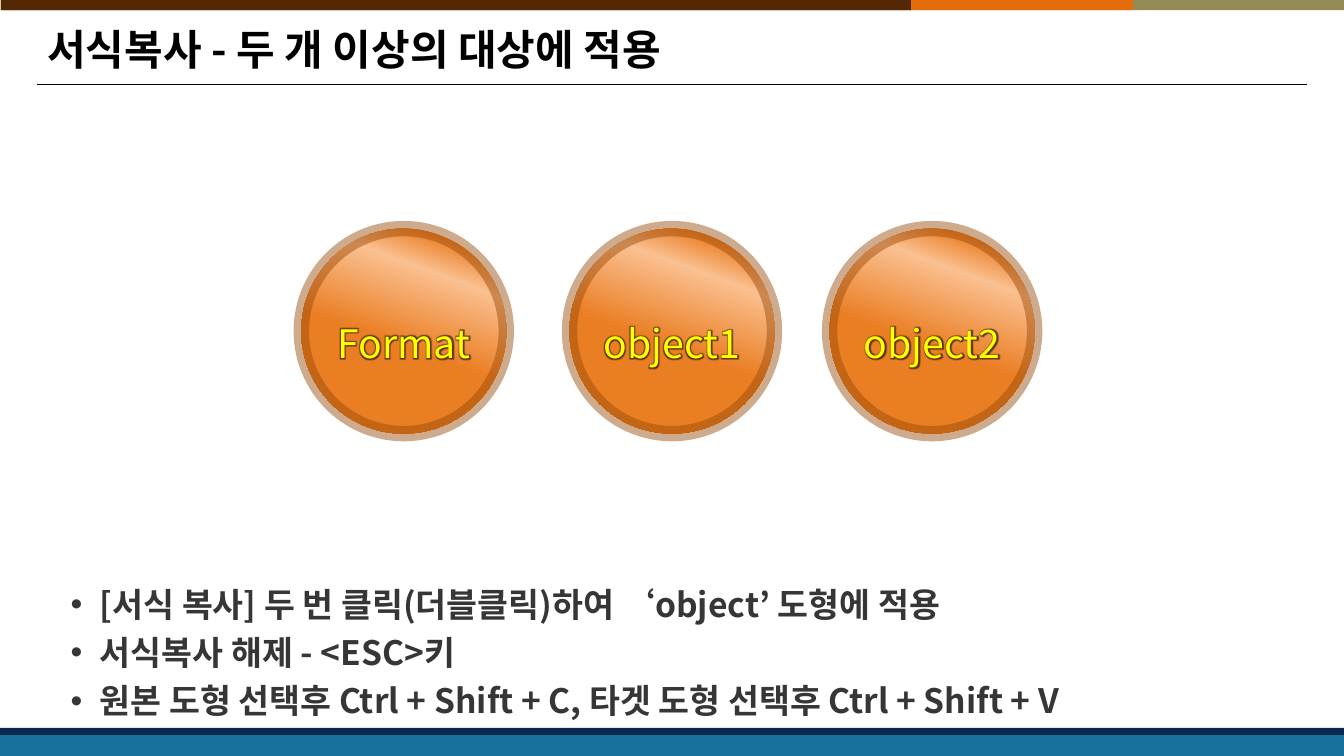
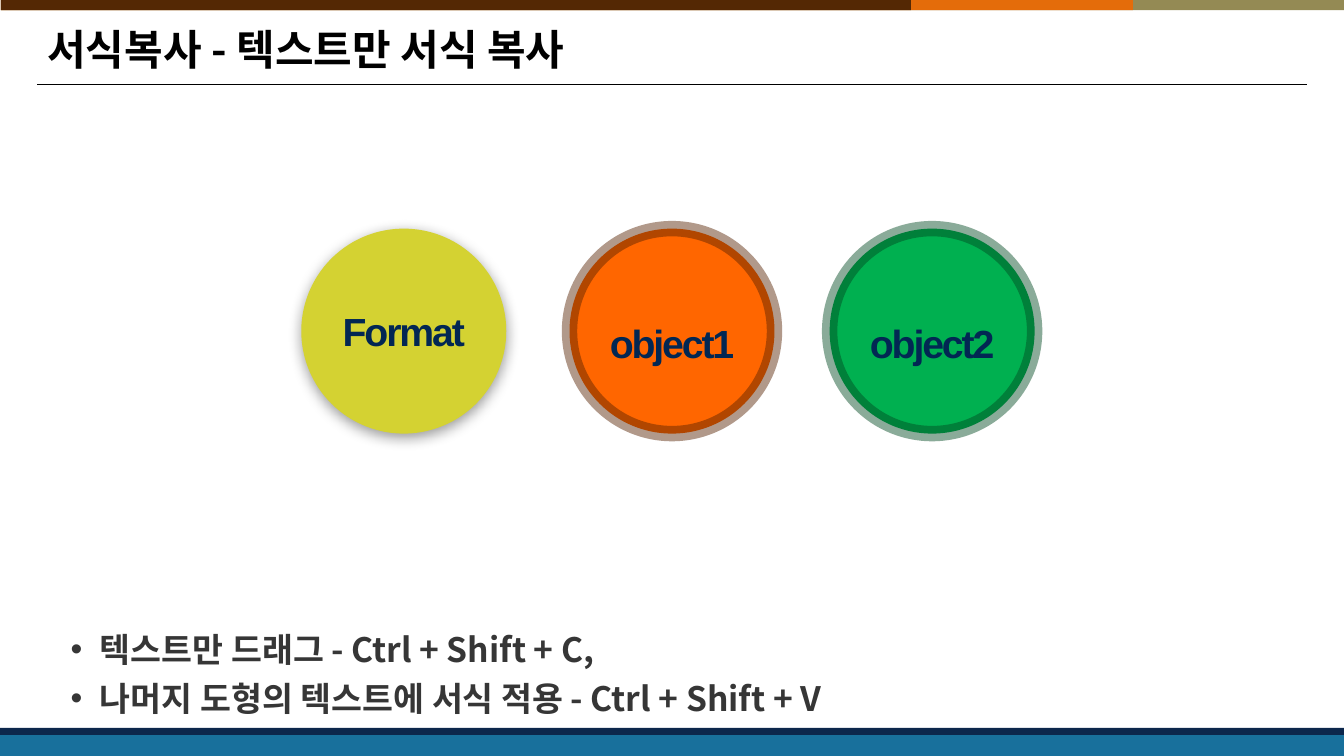
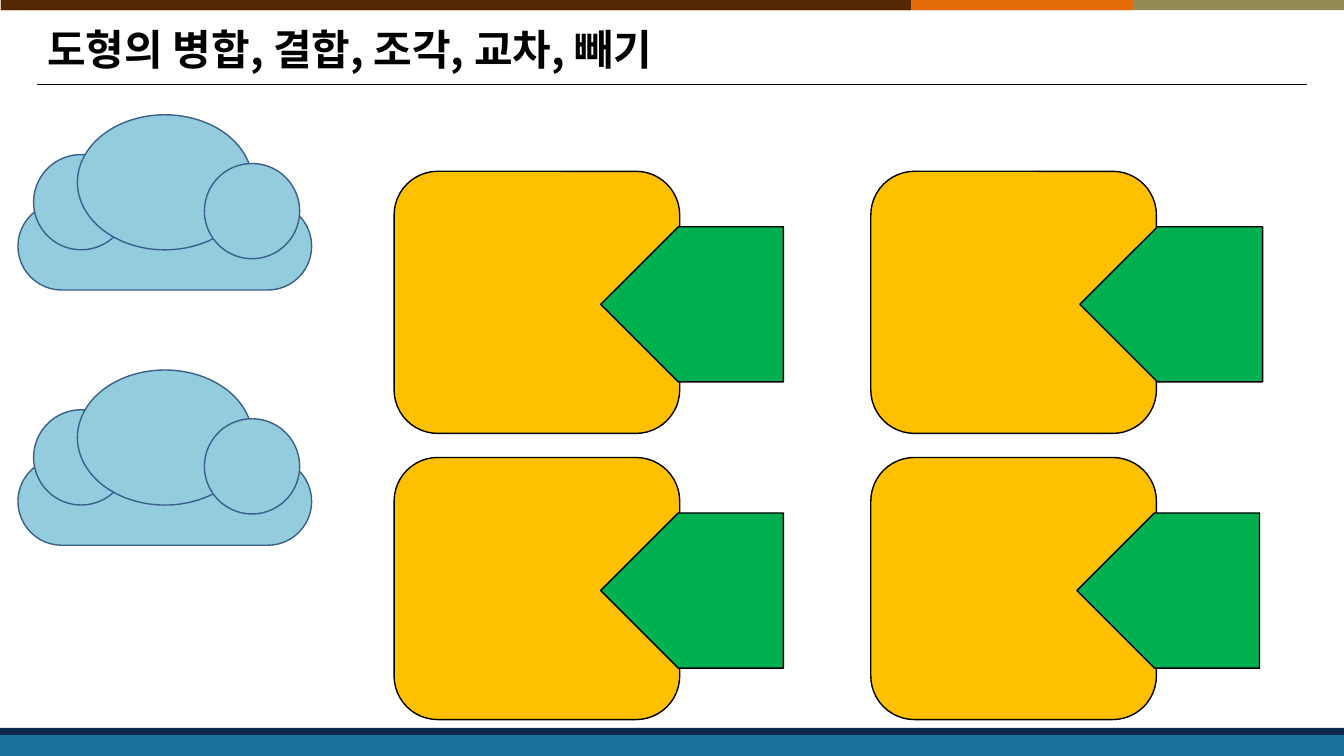
from lxml import etree
from pptx import Presentation
from pptx.dml.color import RGBColor
from pptx.enum.shapes import MSO_CONNECTOR as Connector, MSO_SHAPE as Shape
from pptx.enum.text import MSO_ANCHOR as Anchor, MSO_AUTO_SIZE as AutoSize, PP_ALIGN as Align
from pptx.oxml import parse_xml
from pptx.oxml.ns import nsdecls, qn
from pptx.util import Pt

KOREAN = "Noto Sans CJK KR"
LATIN = "Arial"
BLACK, BODY = "000000", "363636"
NAVY, YELLOW = "022753", "FFFF00"
AMBER, GREEN = "FFC000", "00B050"
SKY, SKY_LINE = "93CDDD", "3A5F8C"
GLOSS = [(11, "EA7E23"), (25, "FAC090"), (56, "EA7E23")]
BANDS = [
    (0.7, 0, 959.3, 7.2, "948A54"),
    (0.7, 0, 808.6, 7.2, "E46C0A"),
    (0.7, 0, 650, 7.2, "542804"),
    (0, 524.2, 960, 18, "18709C"),
    (0, 520, 960, 5, "0C274C"),
]
CIRCLE_LEFTS = (215.2, 406.8, 592.6)
CIRCLE_LABELS = ("Format", "object1", "object2")
CLOUD_PARTS = [
    (Shape.ROUNDED_RECTANGLE, 0, 62.6, 209.8, 62.6),
    (Shape.OVAL, 11.2, 28.4, 68, 68),
    (Shape.OVAL, 42.5, 0, 125, 96.5),
    (Shape.OVAL, 133.2, 34.8, 68, 68),
]


def color(code):
    """Turn a hex string into a colour."""
    return RGBColor.from_string(code)


def place(shape, left, top, width, height):
    """Move and size a shape, in points."""
    shape.left, shape.top = Pt(left), Pt(top)
    shape.width, shape.height = Pt(width), Pt(height)


def style_run(span, font, size, code, bold=False, spacing=None):
    """Format one run for both Latin and Korean letters."""
    span.font.name, span.font.size, span.font.bold = font, Pt(size), bold
    span.font.color.rgb = color(code)
    properties = span.font._element
    properties.find(qn("a:latin")).addnext(
        parse_xml(f'<a:ea {nsdecls("a")} typeface="{font}"/>'))
    if spacing is not None:
        properties.set("spc", str(round(spacing * 100)))


def add_figure(page, kind, left, top, width, height, fill, line=None, weight=1):
    """Add a flat preset shape with an optional outline."""
    figure = page.shapes.add_shape(kind, Pt(left), Pt(top), Pt(width), Pt(height))
    figure.shadow.inherit = False
    figure.fill.solid()
    figure.fill.fore_color.rgb = color(fill)
    if line:
        figure.line.color.rgb = color(line)
        figure.line.width = Pt(weight)
    else:
        figure.line.fill.background()
    return figure


def fill_gloss(figure):
    """Give a shape the slanted glossy gradient."""
    figure.fill.gradient()
    figure.fill.gradient_angle = 250
    stops = figure.element.spPr.find(".//" + qn("a:gsLst"))
    for stop in list(stops):
        stops.remove(stop)
    for position, code in GLOSS:
        stops.append(parse_xml(
            f'<a:gs {nsdecls("a")} pos="{position * 1000}"><a:srgbClr val="{code}"/></a:gs>'))


def add_drop_shadow(figure):
    """Add a soft shadow below a shape."""
    figure.element.spPr.find(qn("a:effectLst")).append(parse_xml(
        f'<a:outerShdw {nsdecls("a")} blurRad="127000" dist="38100" dir="5400000" '
        'algn="t" rotWithShape="0"><a:srgbClr val="000000"><a:alpha val="40000"/>'
        '</a:srgbClr></a:outerShdw>'))


def add_glow(span):
    """Put a dark halo around the letters of a run."""
    span.font._element.find(qn("a:solidFill")).addnext(parse_xml(
        f'<a:effectLst {nsdecls("a")}><a:glow rad="50800"><a:srgbClr val="000000">'
        '<a:alpha val="60000"/></a:srgbClr></a:glow></a:effectLst>'))


def add_circle(page, left, label, fill, ring=None):
    """Add a labelled circle, with a translucent ring if one is given."""
    circle = add_figure(page, Shape.OVAL, left, 163.3, 146.4, 146.4, fill, ring, 11)
    frame = circle.text_frame
    frame.text = label
    frame.vertical_anchor = Anchor.MIDDLE
    frame.word_wrap = ring is None
    para = frame.paragraphs[0]
    para.alignment = Align.CENTER
    if ring:
        para.line_spacing = 1.5
        tint = circle.element.spPr.find(f'{qn("a:ln")}//{qn("a:srgbClr")}')
        etree.SubElement(tint, qn("a:alpha")).set("val", "45000")
    return circle


def add_cloud(page, left, top):
    """Build a cloud from overlapping rounded parts."""
    for kind, across, down, width, height in CLOUD_PARTS:
        part = add_figure(page, kind, left + across, top + down, width, height, SKY, SKY_LINE)
        if kind == Shape.ROUNDED_RECTANGLE:
            part.adjustments[0] = 0.5


def add_block_and_arrow(page, left, top, offset):
    """Add a rounded block overlapped by a pentagon pointing left."""
    add_figure(page, Shape.ROUNDED_RECTANGLE, left, top, 204, 187.2, AMBER, BLACK)
    arrow = add_figure(page, Shape.PENTAGON, left + offset, top + 39.6, 130.5, 110.8, GREEN, BLACK)
    arrow.element.spPr.xfrm.set("flipH", "1")


def move_bands_to_master(deck, page):
    """Draw the bands and the title rule, and hand them to the master."""
    parts = [add_figure(page, Shape.RECTANGLE, *band) for band in BANDS]
    rule = page.shapes.add_connector(Connector.STRAIGHT, Pt(26.6), Pt(60.4), Pt(933.8), Pt(60.4))
    rule.line.color.rgb = color(BLACK)
    rule.line.width = Pt(0.5)
    etree.SubElement(rule.element.spPr, qn("a:effectLst"))
    for number, part in enumerate(parts + [rule], start=101):
        part.element.find(".//" + qn("p:cNvPr")).set("id", str(number))
        deck.slide_master.shapes.element.append(part.element)


def add_page(deck, layout, title):
    """Add a slide with its formatted title."""
    page = deck.slides.add_slide(deck.slide_layouts.get_by_name(layout))
    box = page.shapes.title
    place(box, 26.6, 15.8, 907.2, 42.5)
    frame = box.text_frame
    frame.text = title
    frame.vertical_anchor = Anchor.MIDDLE
    frame.auto_size = AutoSize.NONE
    para = frame.paragraphs[0]
    para.alignment = Align.LEFT
    para.line_spacing = 0.9
    style_run(para.runs[0], KOREAN, 30, BLACK, bold=True)
    return page


def fill_list(page, top, width, height, items):
    """Fill the body placeholder with a bulleted list."""
    box = page.placeholders[1]
    place(box, 43.2, top, width, height)
    frame = box.text_frame
    frame.text = "\n".join(items)
    frame.vertical_anchor = Anchor.TOP
    frame.auto_size = AutoSize.NONE
    for para in frame.paragraphs:
        properties = para._p.get_or_add_pPr()
        properties.set("marL", str(Pt(21)))
        properties.set("indent", str(-Pt(21)))
        etree.SubElement(properties, qn("a:buFont")).set("typeface", LATIN)
        etree.SubElement(properties, qn("a:buChar")).set("char", "•")
        para.line_spacing = 1.2
        para.space_before = Pt(0)
        style_run(para.runs[0], KOREAN, 24, BODY, bold=True)


def build_multiple_targets(deck):
    """Build the slide on copying a format to several objects."""
    page = add_page(deck, "Title and Content", "서식복사 - 두 개 이상의 대상에 적용")
    move_bands_to_master(deck, page)
    for left, label in zip(CIRCLE_LEFTS, CIRCLE_LABELS):
        circle = add_circle(page, left, label, "EA7E23", "984807")
        fill_gloss(circle)
        span = circle.text_frame.paragraphs[0].runs[0]
        style_run(span, KOREAN, 28, YELLOW)
        add_glow(span)
    fill_list(page, 407.5, 850, 112.3, [
        "[서식 복사] 두 번 클릭(더블클릭)하여 ‘object’ 도형에 적용",
        "서식복사 해제 - <ESC>키",
        "원본 도형 선택후 Ctrl + Shift + C, 타겟 도형 선택후 Ctrl + Shift + V",
    ])


def build_text_only(deck):
    """Build the slide on copying the format of text alone."""
    page = add_page(deck, "Title and Content", "서식복사 - 텍스트만 서식 복사")
    fill_list(page, 440, 775, 77, [
        "텍스트만 드래그 - Ctrl + Shift + C,",
        "나머지 도형의 텍스트에 서식 적용 - Ctrl + Shift + V",
    ])
    looks = [("D4D232", None), ("FF6600", "572201"), (GREEN, "004821")]
    for left, label, (fill, ring) in zip(CIRCLE_LEFTS, CIRCLE_LABELS, looks):
        circle = add_circle(page, left, label, fill, ring)
        style_run(circle.text_frame.paragraphs[0].runs[0], LATIN, 28, NAVY, bold=True, spacing=-1.5)
        if ring is None:
            add_drop_shadow(circle)


def build_shape_merging(deck):
    """Build the slide of shapes to be merged."""
    page = add_page(deck, "Title Only", "도형의 병합, 결합, 조각, 교차, 빼기")
    for top, offsets in ((122.4, (147.6, 149.4)), (326.8, (147.6, 147.2))):
        for left, offset in zip((281.5, 622), offsets):
            add_block_and_arrow(page, left, top, offset)
    for top in (82, 264.3):
        add_cloud(page, 12.8, top)


def main():
    """Build and save the deck."""
    deck = Presentation()
    deck.slide_width, deck.slide_height = Pt(960), Pt(540)
    build_multiple_targets(deck)
    build_text_only(deck)
    build_shape_merging(deck)
    deck.save("out.pptx")


if __name__ == "__main__":
    main()
